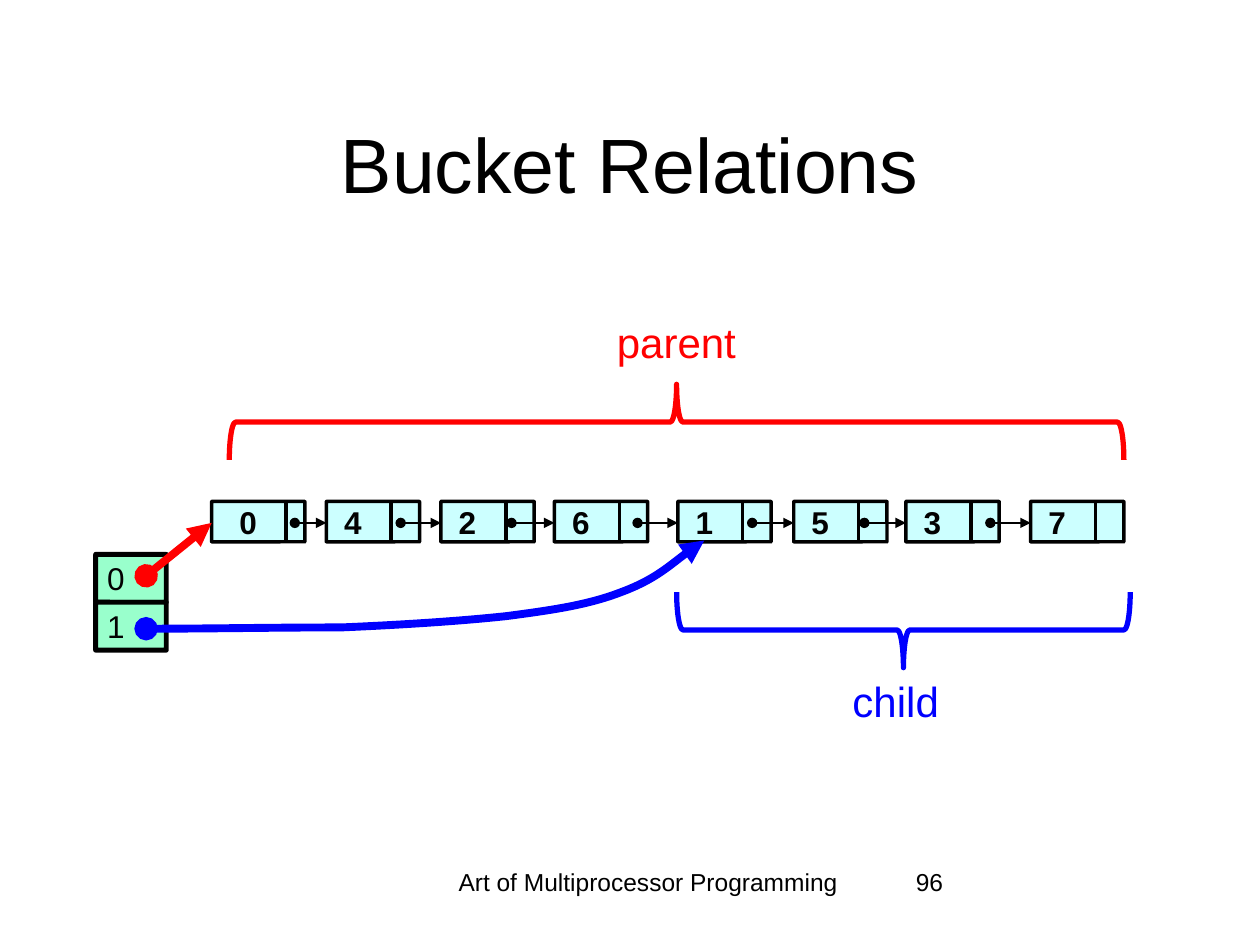
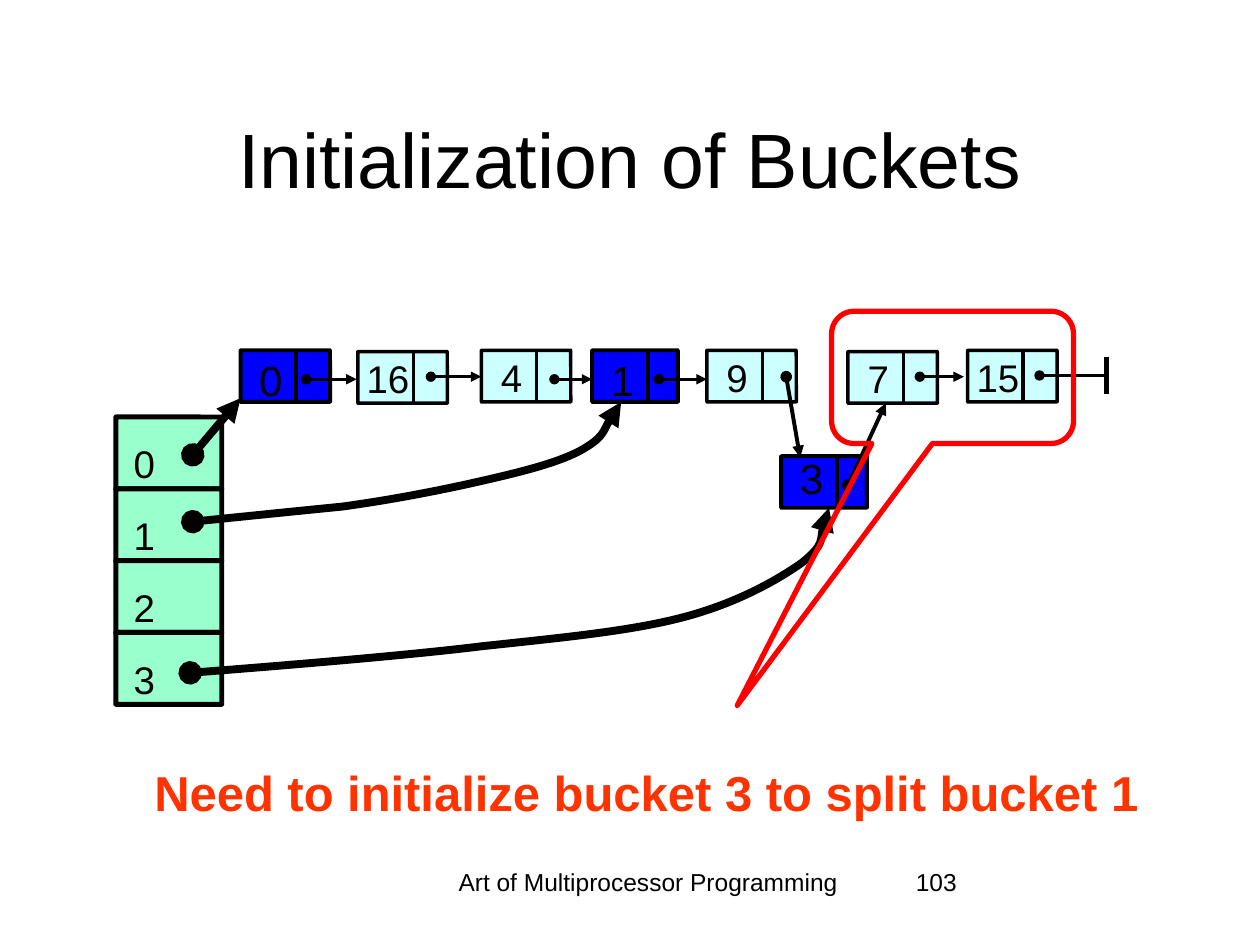
from itertools import pairwise
from pptx import Presentation
from pptx.dml.color import RGBColor
from pptx.enum.shapes import MSO_CONNECTOR, MSO_SHAPE
from pptx.enum.text import MSO_ANCHOR, MSO_AUTO_SIZE, PP_ALIGN
from pptx.oxml.ns import qn
from pptx.oxml.xmlchemy import OxmlElement
from pptx.util import Inches, Pt

# Slide size and its grid of 10 columns by 7.5 rows
WIDTH, HEIGHT = Inches(10), Inches(7.5)
COLS, ROWS = 10, 7.5

BLACK, WHITE, INK = "000000", "FFFFFF", "020202"
RED, BLUE, ORANGE = "FF0000", "0000FF", "FF3300"
AQUA, MINT = "CCFFFF", "99FFCC"
FACE = "Arial"
LEFT, MID, RIGHT = PP_ALIGN.LEFT, PP_ALIGN.CENTER, PP_ALIGN.RIGHT
FOOT = "Art of Multiprocessor Programming"

# Looks of the cells: split is the divider, mid the label's centre, drop its top
NODE = dict(w=0.74, h=0.32, fill=AQUA, line=1.98, split=0.515, mid=0.21,
            drop=0.01, size=18, bold=True, ink=INK)
HEAD = NODE | dict(split=0.59, mid=0.29)
SLOT = dict(w=0.56, h=0.38, fill=MINT, line=2.83, split=None, mid=0.16,
            drop=0.04, size=18, ink=INK)
ITEM = dict(w=0.71, h=0.41, fill=AQUA, line=1.98, split=0.44, mid=0.24,
            drop=0.03, size=22)
MARK = ITEM | dict(w=0.68, fill=BLUE, line=2.25, drop=-0.03, size=24, gap=1.15)
BIN = dict(w=0.84, h=0.57, fill=MINT, line=2.83, split=None, mid=0.225,
           drop=0.13, size=22, gap=1.15)


def hue(code):
    return RGBColor.from_string(code)


def col(x):
    return round(WIDTH * x / COLS)


def row(y):
    return round(HEIGHT * y / ROWS)


def box(x, y, w, h):
    return col(x), row(y), col(w), row(h)


def apply(part, form):
    for key, val in form.items():
        setattr(part, key, val)


def ends(shape, head, tail):
    """Put line ends on a shape's outline."""
    line = shape.line._get_or_add_ln()
    for tag, kind in (("a:headEnd", head), ("a:tailEnd", tail)):
        if kind:
            end = OxmlElement(tag)
            end.set("type", kind)
            line.append(end)


def paint(shape, fill, line, width):
    shape.shadow.inherit = False
    if fill:
        shape.fill.solid()
        shape.fill.fore_color.rgb = hue(fill)
    else:
        shape.fill.background()
    shape.line.color.rgb = hue(line)
    shape.line.width = Pt(width)


def write(frame, words, size, ink=BLACK, align=LEFT, bold=False, gap=None):
    par = frame.paragraphs[0]
    apply(par, dict(alignment=align, line_spacing=gap))
    run = par.add_run()
    run.text = words
    apply(run.font, dict(name=FACE, size=Pt(size), bold=bold))
    run.font.color.rgb = hue(ink)


def text(slide, at, words, size, pad=None, wrap=True, **form):
    frame = slide.shapes.add_textbox(*box(*at)).text_frame
    frame.word_wrap = wrap
    if pad is not None:
        sides = ("left", "right", "top", "bottom")
        apply(frame, {f"margin_{side}": pad for side in sides})
    write(frame, words, size, **form)


def shape(slide, kind, at, line, width, fill=None, adjust=(), turn=0):
    form = slide.shapes.add_shape(kind, *box(*at))
    paint(form, fill, line, width)
    form.rotation = turn
    for spot, val in enumerate(adjust):
        form.adjustments[spot] = val


def line(slide, start, stop, width, color=BLACK, head=None, tail=None):
    link = slide.shapes.add_connector(
        MSO_CONNECTOR.STRAIGHT, col(start[0]), row(start[1]),
        col(stop[0]), row(stop[1]))
    link.line.color.rgb = hue(color)
    link.line.width = Pt(width)
    ends(link, head, tail)
    link._element.spPr.append(OxmlElement("a:effectLst"))


def arrow(slide, start, stop, width, color=BLACK):
    line(slide, start, stop, width, color, "oval", "triangle")


def curve(slide, color, start, *spots):
    """Draw a chain of cubic curves; every three spots make one curve."""
    pen = slide.shapes.build_freeform(col(start[0]), row(start[1]))
    pen.add_line_segments([(col(x), row(y)) for x, y in spots], close=False)
    form = pen.convert_to_shape()
    paint(form, None, color, 4.5)
    ends(form, "oval", "triangle")
    steps = list(form._element.iter(qn("a:lnTo")))
    for n in range(0, len(steps), 3):
        bend = OxmlElement("a:cubicBezTo")
        steps[n].addprevious(bend)
        for step in steps[n:n + 3]:
            bend.append(step[0])
            step.getparent().remove(step)


def cell(slide, x, y, label, look):
    """Draw a labelled cell, with a divider where its look has one."""
    w, h, split = look["w"], look["h"], look["split"]
    shape(slide, MSO_SHAPE.ROUNDED_RECTANGLE, (x, y, w, h), BLACK,
          look["line"], look["fill"], [0.004])
    if split:
        line(slide, (x + split, y + 0.01), (x + split, y + h), look["line"])
    form = {key: look[key] for key in ("ink", "bold", "gap") if key in look}
    text(slide, (x + look["mid"] - 0.25, y + look["drop"], 0.5, 0.38),
         label, look["size"], pad=0, align=MID, **form)


def stack(slide, x, y, count, look):
    for n in range(count):
        cell(slide, x, y + n * look["h"], str(n), look)


def page(deck, title, top, tall, number):
    """Start a slide with its title and footer."""
    slide = deck.slides.add_slide(deck.slide_layouts[5])
    head = slide.shapes.title
    apply(head, dict(zip(("left", "top", "width", "height"),
                         box(0.75, top, 8.5, tall))))
    apply(head.text_frame, dict(vertical_anchor=MSO_ANCHOR.MIDDLE,
                                auto_size=MSO_AUTO_SIZE.NONE, word_wrap=True))
    write(head.text_frame, title, 44, align=MID)
    text(slide, (3.42, 6.83, 3.45, 0.5), FOOT, 14, align=MID, wrap=False)
    text(slide, (7.17, 6.83, 2.08, 0.5), number, 14)
    return slide


def relate(deck):
    slide = page(deck, "Bucket Relations", 0.67, 1.25, "96")

    # Linked list
    lefts = (1.68, 2.59, 3.5, 4.4, 5.38, 6.3, 7.19, 8.18)
    for n, (x, label) in enumerate(zip(lefts, "04261537")):
        cell(slide, x, 3.98, label, NODE if n else HEAD)
    dots = (2.34, 3.18, 4.06, 5.06, 5.97, 6.86, 7.86)
    for dot, (_, after) in zip(dots, pairwise(lefts)):
        arrow(slide, (dot, 4.15), (after, 4.15), 1.23)

    # Bucket table and its pointers
    stack(slide, 0.76, 4.4, 2, SLOT)
    arrow(slide, (1.16, 4.57), (1.68, 4.15), 4.5, RED)
    curve(slide, BLUE, (1.16, 4.99), (1.68, 4.99), (2.19, 4.98), (2.71, 4.98),
          (3.18, 4.96), (3.65, 4.93), (4.02, 4.89),
          (4.4, 4.84), (4.67, 4.8), (4.93, 4.7),
          (5.2, 4.6), (5.46, 4.37), (5.59, 4.29))

    # Braces and their names
    for at, turn, color, spot, name in (
            ((5.07, -0.2, 0.6, 7.1), 270, RED, (4.78, 2.46, 1.16, 0.5), "parent"),
            ((6.87, 3.2, 0.6, 3.6), 90, BLUE, (6.65, 5.31, 0.9, 0.5), "child")):
        shape(slide, MSO_SHAPE.RIGHT_BRACE, at, color, 3, turn=turn)
        text(slide, spot, name, 24, ink=color, align=RIGHT, wrap=False)


def init(deck):
    slide = page(deck, "Initialization of Buckets", 0.89, 0.72, "103")

    # Bucket table
    stack(slide, 0.92, 3.31, 4, BIN)

    # Linked list
    for x, y, label, look in (
            (1.91, 2.78, "0", MARK | dict(w=0.71)), (2.84, 2.79, "16", ITEM),
            (3.82, 2.78, "4", ITEM), (4.7, 2.78, "1", MARK),
            (5.61, 2.78, "9", ITEM), (6.73, 2.79, "7", ITEM),
            (7.68, 2.78, "15", ITEM), (6.2, 3.62, "3", MARK | dict(drop=-0.09))):
        cell(slide, x, y, label, look)
    for start, stop, y in ((2.43, 2.83, 3.01), (3.42, 3.82, 2.99),
                           (4.4, 4.7, 3.01), (5.23, 5.61, 3.01),
                           (7.3, 7.65, 2.99)):
        arrow(slide, (start, y), (stop, y), 1.98)
    arrow(slide, (6.73, 3.85), (7.03, 3.2), 2.25)

    # End of the list
    line(slide, (8.25, 2.98), (8.78, 2.98), 1.98, head="oval")
    line(slide, (8.78, 2.83), (8.78, 3.13), 2.83)

    # Bucket pointers
    arrow(slide, (1.53, 3.61), (1.91, 3.16), 4.5)
    curve(slide, BLACK, (1.53, 4.14), (1.93, 4.1), (2.32, 4.06), (2.72, 4.02),
          (3.08, 3.97), (3.4, 3.91), (3.72, 3.84),
          (4.03, 3.77), (4.39, 3.69), (4.6, 3.58),
          (4.8, 3.47), (4.86, 3.27), (4.93, 3.19))
    curve(slide, BLACK, (1.51, 5.34), (1.9, 5.31), (3.17, 5.21), (3.82, 5.13),
          (4.47, 5.06), (5, 5.01), (5.42, 4.9),
          (5.84, 4.79), (6.16, 4.61), (6.36, 4.47),
          (6.55, 4.32), (6.53, 4.12), (6.58, 4.03))

    # Message and callout
    text(slide, (0.72, 6, 8.82, 0.56),
         "Need to initialize bucket 3 to split bucket 1", 28,
         ink=ORANGE, align=MID, bold=True)
    shape(slide, MSO_SHAPE.ROUNDED_RECTANGULAR_CALLOUT, (6.6, 2.47, 1.92, 1.05),
          RED, 3, adjust=(-0.89, 2.48, 0.17))
    arrow(slide, (6.24, 2.99), (6.35, 3.63), 2.25)


def main():
    deck = Presentation()
    apply(deck, dict(slide_width=WIDTH, slide_height=HEIGHT))
    back = deck.slide_master.background.fill
    back.solid()
    back.fore_color.rgb = hue(WHITE)
    relate(deck)
    init(deck)
    deck.save("out.pptx")


if __name__ == "__main__":
    main()
